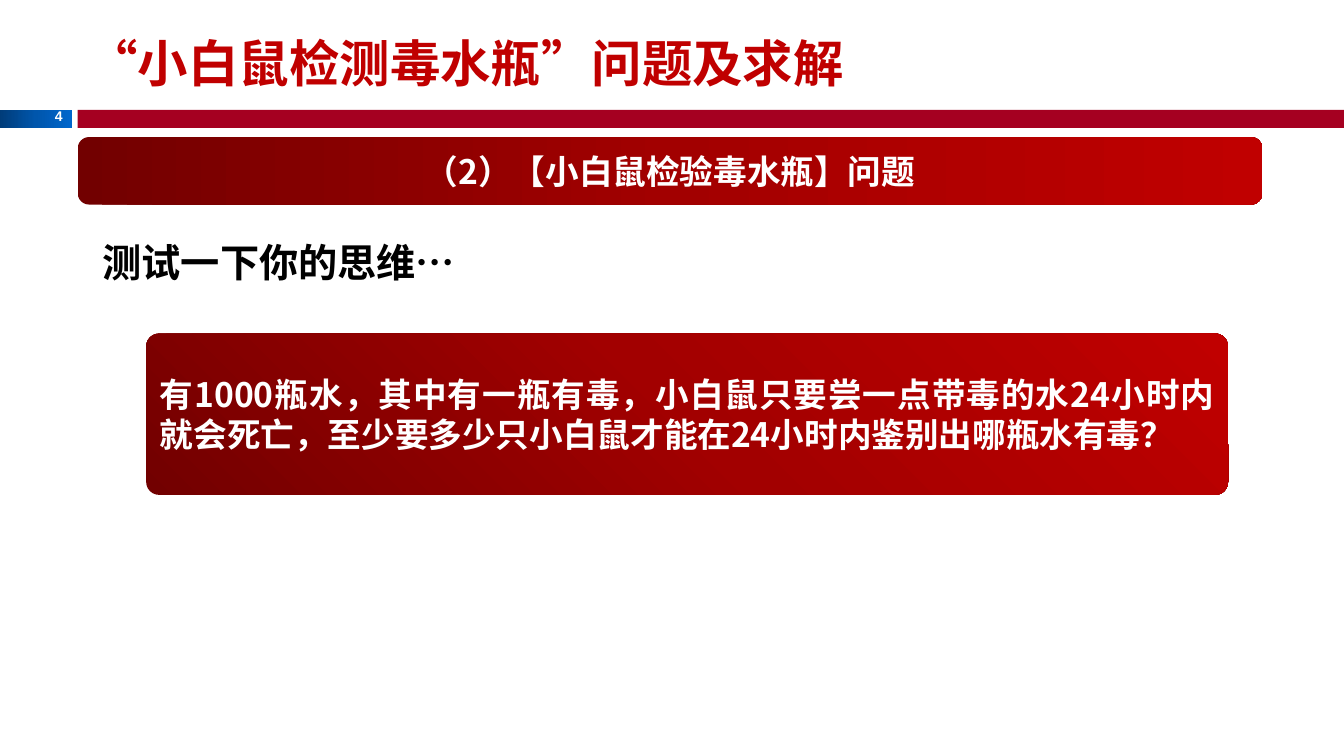
from copy import deepcopy
from dataclasses import dataclass
from typing import Optional

from pptx import Presentation
from pptx.dml.color import RGBColor
from pptx.enum.shapes import MSO_SHAPE
from pptx.enum.text import MSO_ANCHOR, MSO_AUTO_SIZE, PP_ALIGN
from pptx.oxml.ns import qn
from pptx.util import Pt

PX = 9144  # 100 px to the inch
CJK_FONT = "Noto Sans CJK SC"
COLORS = {
    "white": "FFFFFF",
    "black": "000000",
    "title": "C00000",
    "rule": "A50021",
}
BLUES = ("003C79", "0056AC", "0066CC")
REDS = ("720000", "A20000", "C00000")


@dataclass
class Label:
    text: str
    size: int
    color: str = "white"
    align: PP_ALIGN = PP_ALIGN.LEFT
    anchor: MSO_ANCHOR = MSO_ANCHOR.MIDDLE
    wrap: bool = True
    font: str = CJK_FONT


@dataclass
class Panel:
    box: tuple[int, int, int, int]
    colors: tuple[str, ...]
    angle: int = 0  # counter-clockwise
    corner: Optional[float] = None  # None for square corners
    label: Optional[Label] = None


@dataclass
class Caption:
    box: tuple[int, int, int, int]
    label: Label


PANELS = [
    Panel((0, 109, 71, 18), BLUES),
    Panel((77, 109, 1256, 18), (COLORS["rule"],)),
    Panel((145, 331, 1073, 160), REDS, 45, 0.08,
          Label("有1000瓶水，其中有一瓶有毒，小白鼠只要尝一点带毒的水24小时内就会死亡，"
                "至少要多少只小白鼠才能在24小时内鉴别出哪瓶水有毒？",
                24, align=PP_ALIGN.JUSTIFY)),
    Panel((77, 136, 1175, 67), REDS, 0, 0.17,
          Label("（2）【小白鼠检验毒水瓶】问题", 24, align=PP_ALIGN.CENTER)),
]
CAPTIONS = [
    Caption((35, 102, 37, 27),
            Label("4", 10, align=PP_ALIGN.RIGHT, anchor=MSO_ANCHOR.TOP,
                  wrap=False, font="Arial")),
    Caption((92, 232, 372, 57),
            Label("测试一下你的思维…", 28, "black", anchor=MSO_ANCHOR.TOP, wrap=False)),
    Caption((77, 20, 1167, 83),
            Label("“小白鼠检测毒水瓶”问题及求解", 36, "title")),
]


def write_label(shape, label: Label) -> None:
    text_frame = shape.text_frame
    text_frame.text = label.text
    text_frame.word_wrap = label.wrap
    text_frame.vertical_anchor = label.anchor
    if not label.wrap:
        text_frame.auto_size = MSO_AUTO_SIZE.SHAPE_TO_FIT_TEXT
    paragraph = text_frame.paragraphs[0]
    paragraph.alignment = label.align
    run = paragraph.runs[0]
    run.font.size = Pt(label.size)
    run.font.bold = True
    run.font.color.rgb = RGBColor.from_string(COLORS[label.color])
    run.font.name = label.font
    # East Asian glyphs take their own typeface entry
    properties = run.font._element
    properties.set("lang", "zh-CN")
    latin = properties.find(qn("a:latin"))
    east_asian = properties.makeelement(qn("a:ea"), {"typeface": label.font})
    latin.addnext(east_asian)


def fill_panel(shape, colors: tuple[str, ...], angle: int) -> None:
    if len(colors) == 1:
        shape.fill.solid()
        shape.fill.fore_color.rgb = RGBColor.from_string(colors[0])
        return
    shape.fill.gradient()
    shape.fill.gradient_angle = angle
    # The default gradient has two stops; add the middle one
    stop_list = shape._element.spPr.find(".//" + qn("a:gsLst"))
    stop_list.insert(1, deepcopy(stop_list[0]))
    for index, stop in enumerate(shape.fill.gradient_stops):
        stop.position = index / (len(colors) - 1)
        stop.color.rgb = RGBColor.from_string(colors[index])


def draw_panel(slide, panel: Panel) -> None:
    rounded = panel.corner is not None
    kind = MSO_SHAPE.ROUNDED_RECTANGLE if rounded else MSO_SHAPE.RECTANGLE
    shape = slide.shapes.add_shape(kind, *(length * PX for length in panel.box))
    if rounded:
        shape.adjustments[0] = panel.corner
    shape.shadow.inherit = False
    shape.line.fill.background()
    fill_panel(shape, panel.colors, panel.angle)
    if panel.label:
        write_label(shape, panel.label)


def draw_caption(slide, caption: Caption) -> None:
    shape = slide.shapes.add_textbox(*(length * PX for length in caption.box))
    write_label(shape, caption.label)


def main() -> None:
    presentation = Presentation()
    presentation.slide_width = 1333 * PX
    presentation.slide_height = 750 * PX
    slide = presentation.slides.add_slide(presentation.slide_layouts[6])
    # Bars and red panels
    for panel in PANELS:
        draw_panel(slide, panel)
    # Page number, prompt and title
    for caption in CAPTIONS:
        draw_caption(slide, caption)
    presentation.save("out.pptx")


if __name__ == "__main__":
    main()
